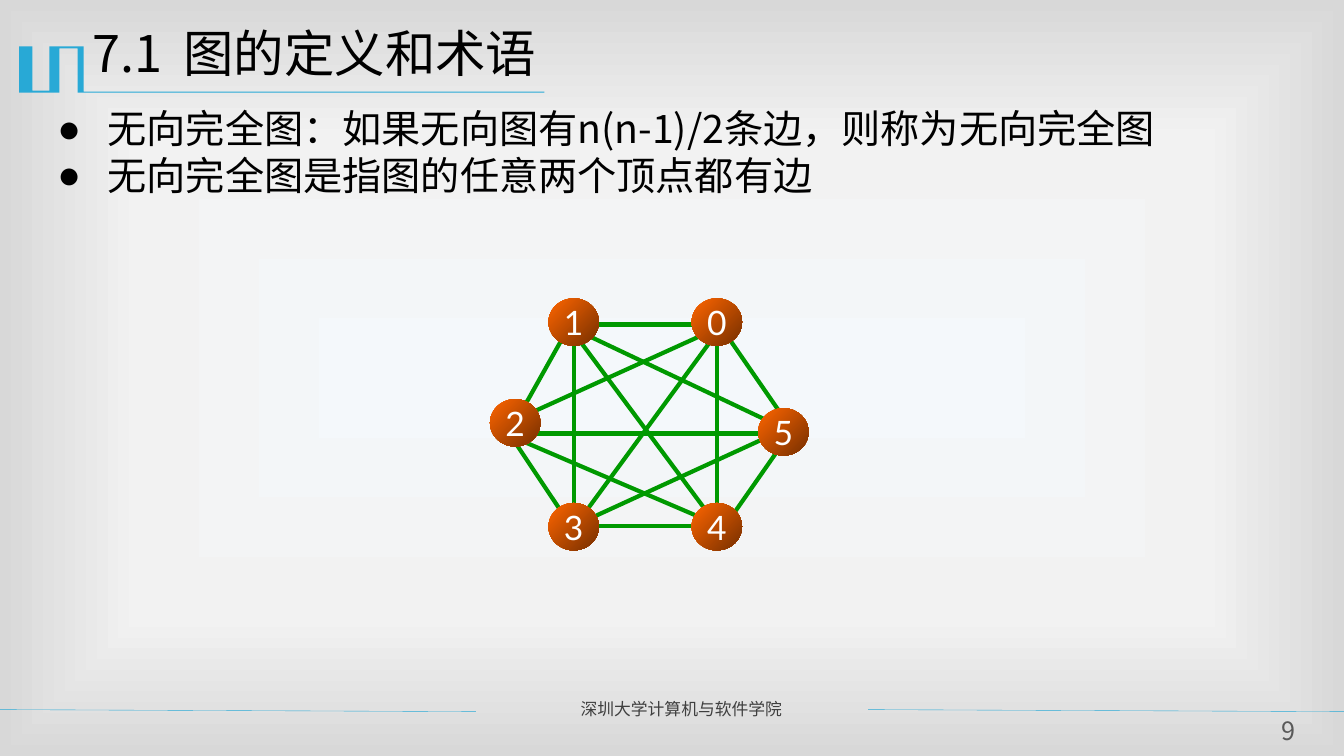
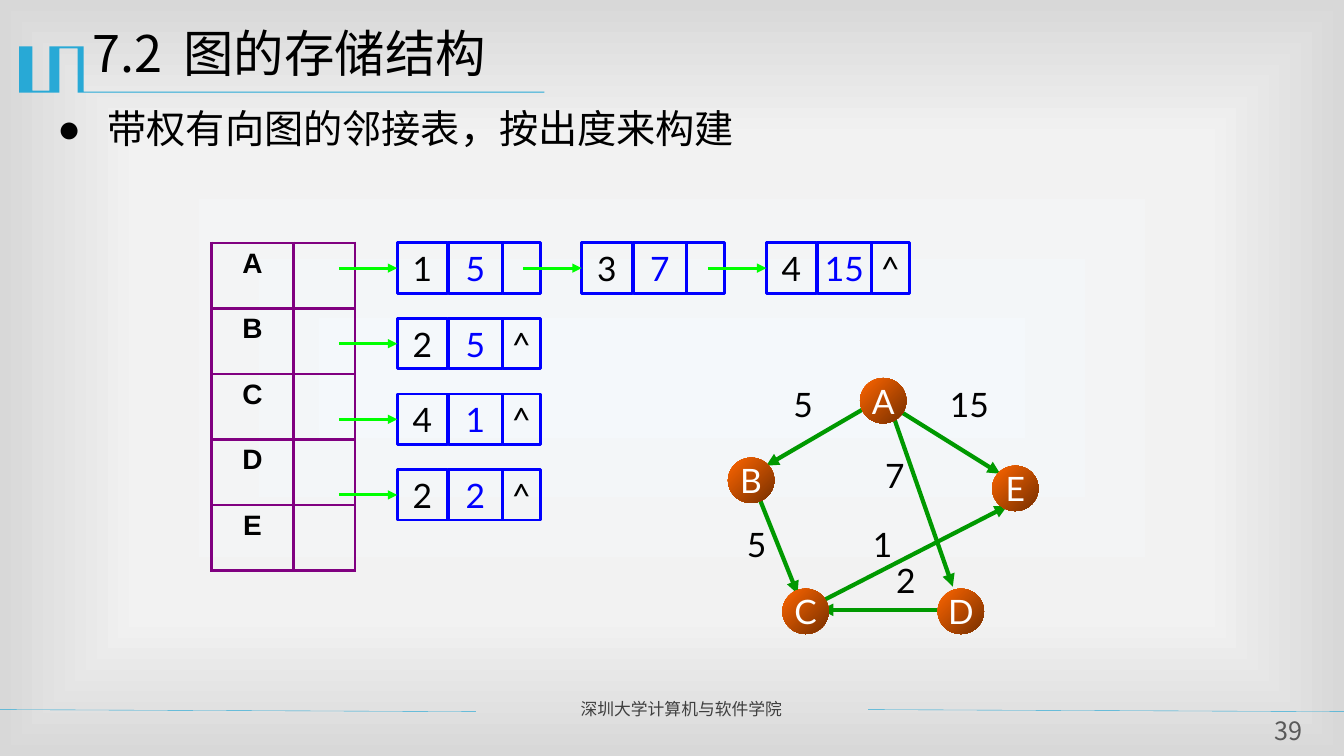
from pptx import Presentation
from pptx.dml.color import RGBColor
from pptx.enum.shapes import MSO_CONNECTOR as LineKind, MSO_SHAPE as Preset
from pptx.enum.text import MSO_ANCHOR as Anchor, MSO_AUTO_SIZE as AutoSize, PP_ALIGN as Align
from pptx.oxml import parse_xml
from pptx.oxml.ns import nsdecls, qn
from pptx.oxml.xmlchemy import OxmlElement
from pptx.util import Inches, Pt

# Shared style
CJK = "Noto Sans CJK SC"
BLACK, BLUE, ACCENT = "000000", "0000FF", "28A9D6"
EDGE_GREEN, POINTER_GREEN, PURPLE = "009900", "00FF00", "800080"

CENTER = {"alignment": Align.CENTER}
LEFT = {"alignment": Align.LEFT, "line_spacing": 0.9}
TEXT = {
    "title": ({"name": CJK, "size": Pt(36)}, BLACK, LEFT),
    "body": ({"name": CJK, "size": Pt(28)}, BLACK, LEFT),
    "footer": ({"name": CJK, "size": Pt(12)}, "3F3F3F", LEFT),
    "number": ({"name": CJK, "size": Pt(18)}, "595959", {**LEFT, **CENTER}),
    "vertex": ({"name": "Lato", "size": Pt(24)}, "FFFFFF", CENTER),
    "label": ({"name": "Lato", "size": Pt(24)}, BLACK, CENTER),
    "weight": ({"name": "Lato", "size": Pt(24)}, BLUE, CENTER),
    "head": ({"name": "Arial", "size": Pt(20), "bold": True}, BLACK, CENTER),
}
NO_INSET = {"margin_left": 0, "margin_right": 0}
FLUSH = {**NO_INSET, "margin_top": 0, "margin_bottom": 0}
BACKDROP = [(0, "F4F8FB"), (63, "F2F2F2"), (100, "D8D8D8")]
BALL = [(0, "FF6600"), (100, "762F00")]
FROM_CENTER = ('<a:path path="rect"><a:fillToRect l="50000" t="50000" '
               'r="50000" b="50000"/></a:path>')
DIAGONAL = '<a:lin ang="2700000" scaled="1"/>'
EMBLEM = [(0.82, 0.46), (0.83, 0.46), (0.83, 0.91), (5.4, 0.91), (5.4, 0.92),
          (0.77, 0.92), (0.77, 0.48), (0.59, 0.48), (0.59, 0.92), (0.19, 0.92),
          (0.19, 0.46), (0.32, 0.46), (0.32, 0.9), (0.49, 0.9), (0.49, 0.46)]


def color(value):
    return RGBColor.from_string(value)


def apply(target, values):
    for name, value in values.items():
        setattr(target, name, value)


def add_xml(parent, tag, **attributes):
    child = OxmlElement(tag)
    for name, value in attributes.items():
        child.set(name, str(value))
    parent.append(child)
    return child


def set_gradient(fill, owner, stops, direction):
    fill.gradient()
    default = owner.find(".//" + qn("a:gradFill"))
    stop_xml = "".join(f'<a:gs pos="{pos * 1000}"><a:srgbClr val="{value}"/></a:gs>'
                       for pos, value in stops)
    gradient = parse_xml(f'<a:gradFill {nsdecls("a")} rotWithShape="1">'
                         f'<a:gsLst>{stop_xml}</a:gsLst>{direction}</a:gradFill>')
    default.getparent().replace(default, gradient)


class Deck:
    def __init__(self):
        self.prs = Presentation()
        self.prs.slide_width, self.prs.slide_height = Inches(13.33), Inches(7.5)
        master = self.prs.slide_master
        set_gradient(master.background.fill, master.element, BACKDROP, FROM_CENTER)

    def start(self, number, section, heading):
        """Add a slide with its title, emblem and footer."""
        self.slide = self.prs.slides.add_slide(self.prs.slide_layouts[5])
        self.shapes = self.slide.shapes
        title = self.shapes.title
        apply(title, dict(zip(("left", "top", "width", "height"),
                              map(Inches, (0.82, 0.24, 12, 0.87)))))
        apply(title.text_frame, {"vertical_anchor": Anchor.TOP, "auto_size": AutoSize.NONE})
        paragraph = title.text_frame.paragraphs[0]
        tabs = add_xml(paragraph._p.get_or_add_pPr(), "a:tabLst")
        add_xml(tabs, "a:tab", pos=Inches(0.9), algn="l")
        self.put_words(paragraph, f"{section}\t{heading}", "title")

        # Emblem with the rule under the title
        points = [(Inches(x), Inches(y)) for x, y in EMBLEM]
        builder = self.shapes.build_freeform(*points[0], scale=1.0)
        builder.add_line_segments(points[1:], close=True)
        emblem = builder.convert_to_shape()
        emblem.shadow.inherit = False
        emblem.fill.solid()
        emblem.fill.fore_color.rgb = color(ACCENT)
        emblem.line.fill.background()

        # Footer
        for left, right in ((0, 4.72), (8.61, 13.33)):
            self.line((left, 7.04), (right, 7.06), ACCENT, 0.25)
        self.text((5.66, 6.91, 2.85, 0.3), "深圳大学计算机与软件学院", "footer")
        self.text((12.48, 7.13, 0.59, 0.31), number, "number", FLUSH)

    def put_words(self, paragraph, words, style):
        font_values, ink, layout = TEXT[style]
        apply(paragraph, layout)
        run = paragraph.add_run()
        run.text = words
        apply(run.font, font_values)
        run.font.color.rgb = color(ink)
        add_xml(run._r.get_or_add_rPr(), "a:ea", typeface=font_values["name"])

    def text(self, area, words, style, frame_values=None):
        frame = self.shapes.add_textbox(*map(Inches, area)).text_frame
        apply(frame, {"word_wrap": True, **(frame_values or {})})
        self.put_words(frame.paragraphs[0], words, style)

    def bullets(self, *points):
        frame = self.shapes.add_textbox(*map(Inches, (0.47, 1.04, 12.13, 1.2))).text_frame
        frame.word_wrap = True
        for index, words in enumerate(points):
            paragraph = frame.add_paragraph() if index else frame.paragraphs[0]
            props = paragraph._p.get_or_add_pPr()
            props.set("marL", str(Inches(0.5)))
            props.set("indent", str(-Inches(0.5)))
            add_xml(props, "a:buFont", typeface="Arial")
            add_xml(props, "a:buChar", char="●")
            if index:
                paragraph.space_before = Pt(3)
            self.put_words(paragraph, words, "body")

    def line(self, start, end, ink, width, arrow=False):
        connector = self.shapes.add_connector(LineKind.STRAIGHT, *map(Inches, start + end))
        connector.line.color.rgb = color(ink)
        connector.line.width = Pt(width)
        props = connector._element.spPr
        if arrow:
            add_xml(props.find(qn("a:ln")), "a:tailEnd", type="triangle")
        add_xml(props, "a:effectLst")

    def shape(self, preset, area, words, style):
        shape = self.shapes.add_shape(preset, *map(Inches, area))
        shape.shadow.inherit = False
        apply(shape.text_frame, {**NO_INSET, "word_wrap": False,
                                 "vertical_anchor": Anchor.MIDDLE})
        if words:
            self.put_words(shape.text_frame.paragraphs[0], words, style)
        return shape

    def vertex(self, name, left, top, width, height):
        ball = self.shape(Preset.OVAL, (left, top, width, height), name, "vertex")
        set_gradient(ball.fill, ball._element, BALL, DIAGONAL)
        ball.line.fill.background()

    def list_node(self, left, top, target, weight, link):
        """Draw one linked-list node and the pointer that leads to it."""
        cells = ((0, 0.5, target, "label"), (0.51, 0.53, weight, "weight"),
                 (1.04, 0.38, link, "label"))
        for offset, width, words, style in cells:
            cell = self.shape(Preset.RECTANGLE, (left + offset, top, width, 0.5), words, style)
            cell.fill.background()
            cell.line.color.rgb = color(BLUE)
            cell.line.width = Pt(2)
        self.line((left - 0.58, top + 0.25), (left, top + 0.25), POINTER_GREEN, 2.25, True)

    def head_table(self, names, left, top, widths, row_height):
        area = (left, top, sum(widths), row_height * len(names))
        table = self.shapes.add_table(len(names), len(widths), *map(Inches, area)).table
        apply(table, {"first_row": False, "horz_banding": False})
        for column, width in zip(table.columns, widths):
            column.width = Inches(width)
        for row, name in zip(table.rows, names):
            row.height = Inches(row_height)
            self.put_words(row.cells[0].text_frame.paragraphs[0], name, "head")
            for cell in row.cells:
                self.border(cell)

    def border(self, cell):
        props = cell._tc.get_or_add_tcPr()
        for side in "LRTB":
            edge = add_xml(props, f"a:ln{side}", w=Pt(2.25))
            add_xml(add_xml(edge, "a:solidFill"), "a:srgbClr", val=PURPLE)
        cell.fill.background()


def complete_graph(deck):
    deck.start("9", "7.1", "图的定义和术语")
    deck.bullets("无向完全图：如果无向图有n(n-1)/2条边，则称为无向完全图",
                 "无向完全图是指图的任意两个顶点都有边")
    # Every pair of vertices has an edge
    edges = [((6.94, 3.22), (5.94, 3.22)), ((7.11, 3.39), (7.11, 5.05)),
             ((7.19, 3.3), (7.77, 4.14)), ((5.61, 3.3), (5.19, 4.05)),
             ((5.69, 5.14), (5.69, 3.39)), ((7.69, 4.21), (5.77, 3.3)),
             ((5.61, 5.14), (5.11, 4.39)), ((7.02, 5.22), (5.77, 5.22)),
             ((7.69, 4.3), (5.86, 5.14)), ((7.77, 4.39), (7.19, 5.22)),
             ((7.11, 5.21), (5.69, 3.3)), ((5.77, 5.13), (7.11, 3.3)),
             ((7.02, 3.3), (5.19, 4.13)), ((7.69, 4.3), (5.19, 4.3)),
             ((6.94, 5.13), (5.19, 4.38))]
    for start, end in edges:
        deck.line(start, end, EDGE_GREEN, 3)
    vertices = {"1": (5.44, 2.96), "3": (5.44, 4.99), "2": (4.86, 3.96),
                "5": (7.52, 4.05), "4": (6.86, 4.99), "0": (6.86, 2.96)}
    for name, corner in vertices.items():
        deck.vertex(name, *corner, 0.5, 0.47)


def adjacency_list(deck):
    deck.start("39", "7.2", "图的存储结构")
    deck.bullets("带权有向图的邻接表，按出度来构建")
    # Head table and the list of out-edges of each vertex
    deck.head_table("ABCDE", 2.1, 2.41, (0.81, 0.61), 0.65)
    out_edges = [[("1", "5"), ("3", "7"), ("4", "15")],
                 [("2", "5")], [("4", "1")], [("2", "2")]]
    for row, chain in enumerate(out_edges):
        for step, (target, weight) in enumerate(chain):
            link = "^" if step == len(chain) - 1 else ""
            deck.list_node(3.94 + 1.83 * step, 2.41 + 0.75 * row, target, weight, link)

    # Weighted directed graph
    arcs = [((8.91, 4.07), (9.92, 4.7)), ((7.53, 4.94), (7.91, 5.89)),
            ((8.68, 3.99), (7.6, 4.62)), ((8.84, 4.07), (9.45, 5.82)),
            ((9.3, 6.05), (8.14, 6.05)), ((8.14, 5.97), (9.99, 5.02))]
    for start, end in arcs:
        deck.line(start, end, EDGE_GREEN, 3, True)
    vertices = {"B": (7.22, 4.54), "D": (9.3, 5.84), "C": (7.76, 5.84),
                "E": (9.84, 4.62), "A": (8.53, 3.75)}
    for name, corner in vertices.items():
        deck.vertex(name, *corner, 0.46, 0.45)
    weights = [("5", 7.68, 3.76), ("5", 7.22, 5.15), ("15", 9.33, 3.76),
               ("1", 8.47, 5.15), ("7", 8.59, 4.46), ("2", 8.7, 5.51)]
    for weight, left, top in weights:
        deck.text((left, top, 0.57, 0.5), weight, "label", NO_INSET)


def main():
    deck = Deck()
    complete_graph(deck)
    adjacency_list(deck)
    deck.prs.save("out.pptx")


if __name__ == "__main__":
    main()
